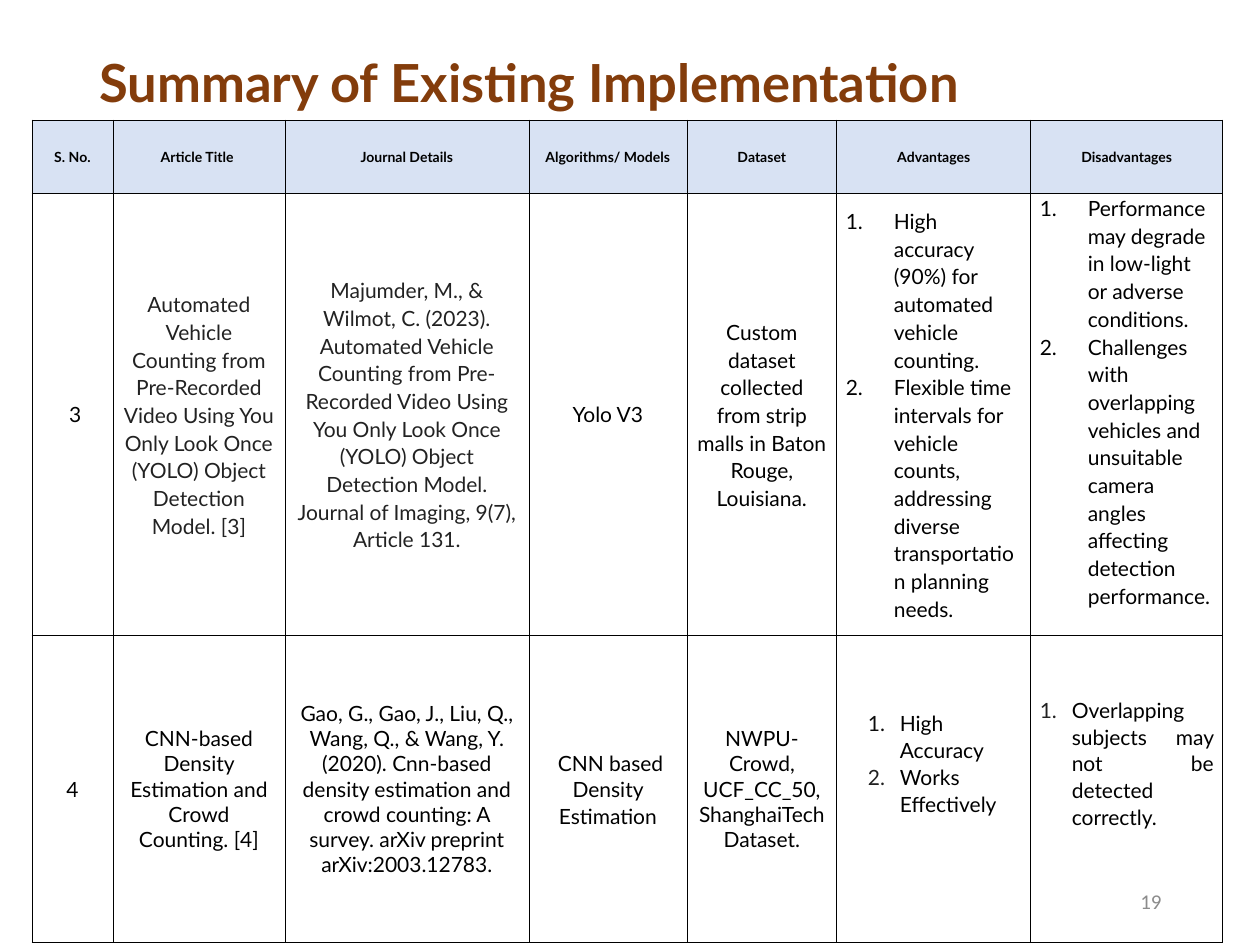
from lxml.etree import SubElement
from pptx import Presentation
from pptx.dml.color import RGBColor
from pptx.enum.text import MSO_ANCHOR, PP_ALIGN
from pptx.oxml.ns import qn
from pptx.util import Pt

PX = 914400 // 126
INK = {"title": "833C0B", "head": "D8E2F3", "text": "000000", "soft": "222222",
       "mark": "212121", "dark": "0C0C0C", "page": "8C8C8C"}


def write(par, text, ink, align, **form):
    par.alignment = align
    run = par.add_run()
    run.text = text
    for key, val in form.items():
        setattr(run.font, key, val)
    run.font.color.rgb = RGBColor.from_string(INK[ink])


def number(par, left, hang, ink):
    props = par._p.get_or_add_pPr()
    props.set("marL", str(left * PX))
    props.set("indent", str(-hang * PX))
    SubElement(SubElement(props, qn("a:buClr")), qn("a:srgbClr"), val=INK[ink])
    SubElement(props, qn("a:buFont"), typeface="+mj-lt")
    SubElement(props, qn("a:buAutoNum"), type="arabicPeriod")


MID, LEFT, FULL = PP_ALIGN.CENTER, PP_ALIGN.LEFT, PP_ALIGN.JUSTIFY
HEADS = ["S. No.", "Article Title ", "Journal Details", "Algorithms/ Models",
         "Dataset", "Advantages", "Disadvantages"]
ROWS = [
    [{"texts": [head]} for head in HEADS],
    [
        {"texts": [" 3"]},
        {"texts": ["Automated Vehicle Counting from Pre-Recorded Video Using You Only "
                   "Look Once (YOLO) Object Detection Model. [3]"], "ink": "soft", "gap": 1.1},
        {"texts": ["Majumder, M., & Wilmot, C. (2023). Automated Vehicle Counting from "
                   "Pre-Recorded Video Using You Only Look Once (YOLO) Object Detection "
                   "Model. Journal of Imaging, 9(7), Article 131."], "ink": "soft", "gap": 1.1},
        {"texts": ["Yolo V3"]},
        {"texts": ["Custom dataset collected from strip malls in Baton Rouge, Louisiana."],
         "gap": 1.1},
        {"texts": ["High accuracy (90%) for automated vehicle counting.",
                   "Flexible time intervals for vehicle counts, addressing diverse "
                   "transportation planning needs."],
         "gap": 1.1, "align": LEFT, "list": (48, 48), "marks": ["text", "text"]},
        {"texts": ["Performance may degrade in low-light or adverse conditions.",
                   "Challenges with overlapping vehicles and unsuitable camera angles "
                   "affecting detection performance."],
         "gap": 1.1, "align": LEFT, "list": (48, 48), "marks": ["text", "text"], "foot": 26},
    ],
    [
        {"texts": ["4"]},
        {"texts": ["CNN-based Density Estimation and Crowd Counting. [4]"], "gap": 1.0},
        {"texts": ["Gao, G., Gao, J., Liu, Q., Wang, Q., & Wang, Y. (2020). Cnn-based "
                   "density estimation and crowd counting: A survey. arXiv preprint "
                   "arXiv:2003.12783."], "gap": 1.0},
        {"texts": [" CNN based Density Estimation"]},
        {"texts": ["NWPU-Crowd, UCF_CC_50, ShanghaiTech Dataset."], "gap": 1.0},
        {"texts": ["High Accuracy", "Works Effectively"], "align": LEFT,
         "list": (54, 32), "marks": ["dark", "mark"], "foot": 52},
        {"texts": ["Overlapping subjects may not be detected correctly."], "align": FULL,
         "list": (32, 32), "marks": ["mark"], "foot": 52},
    ],
]
WIDE = [81, 172, 244, 158, 150, 194, 192]
HIGH = [73, 442, 308]

deck = Presentation()
deck.slide_width, deck.slide_height = 1260 * PX, 945 * PX
slide = deck.slides.add_slide(deck.slide_layouts[6])

table = slide.shapes.add_table(len(HIGH), len(WIDE), 32 * PX, 120 * PX,
                               sum(WIDE) * PX, sum(HIGH) * PX).table
for key in ("first_row", "horz_banding"):
    setattr(table, key, False)
for col, width in zip(table.columns, WIDE):
    col.width = width * PX
for row, height in zip(table.rows, HIGH):
    row.height = height * PX

for r, line in enumerate(ROWS):
    for c, item in enumerate(line):
        cell = table.cell(r, c)
        form = {"margin_left": 9 * PX, "margin_right": 9 * PX, "margin_top": 0,
                "margin_bottom": item.get("foot", 0) * PX,
                "vertical_anchor": MSO_ANCHOR.MIDDLE}
        for key, val in form.items():
            setattr(cell, key, val)
        props = cell._tc.get_or_add_tcPr()
        for side in ("lnL", "lnR", "lnT", "lnB"):
            edge = SubElement(props, qn("a:" + side), w=str(Pt(0.5)))
            SubElement(SubElement(edge, qn("a:solidFill")), qn("a:srgbClr"), val=INK["text"])
        if r == 0:
            cell.fill.solid()
            cell.fill.fore_color.rgb = RGBColor.from_string(INK["head"])
        else:
            cell.fill.background()
        for i, text in enumerate(item["texts"]):
            par = cell.text_frame.add_paragraph() if i else cell.text_frame.paragraphs[0]
            par.line_spacing = item.get("gap", 1.07)
            write(par, text, item.get("ink", "text"), item.get("align", MID),
                  name="Lato", size=Pt(12 if r else 8), bold=r == 0)
            if "list" in item:
                number(par, *item["list"], item["marks"][i])

LABELS = [
    ((87, 50, 993, 71), "Summary of Existing Implementation", "title", LEFT, 0.9,
     {"name": "Lato", "size": Pt(30), "bold": True}),
    ((890, 876, 284, 50), "19", "page", PP_ALIGN.RIGHT, 1.0,
     {"name": "Calibri", "size": Pt(12)}),
]
for place, text, ink, align, gap, form in LABELS:
    frame = slide.shapes.add_textbox(*[n * PX for n in place]).text_frame
    frame.word_wrap = True
    frame.vertical_anchor = MSO_ANCHOR.MIDDLE
    frame.paragraphs[0].line_spacing = gap
    write(frame.paragraphs[0], text, ink, align, **form)

deck.save("out.pptx")
